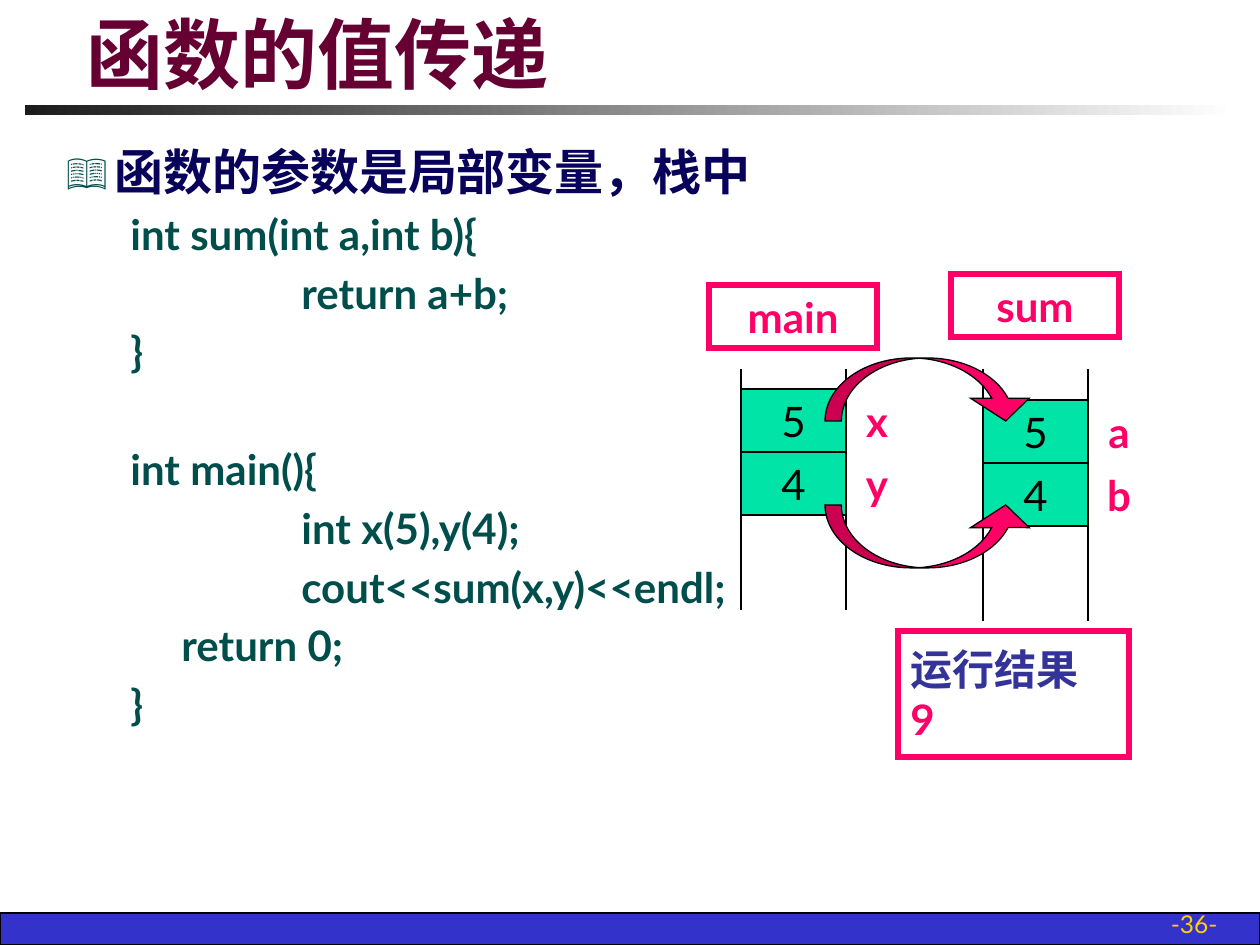
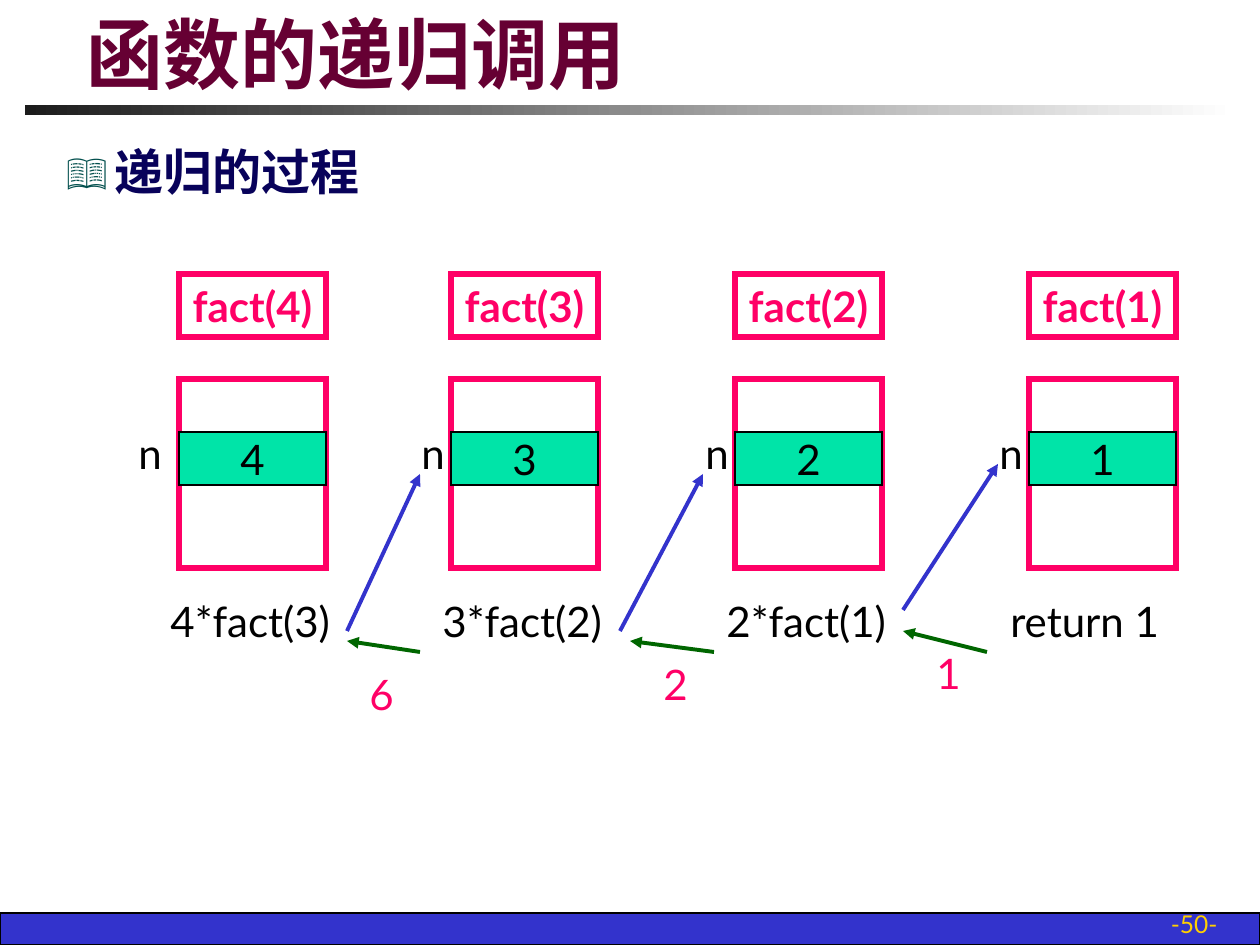
from lxml import etree
from pptx import Presentation
from pptx.dml.color import RGBColor
from pptx.enum.lang import MSO_LANGUAGE_ID
from pptx.enum.shapes import MSO_CONNECTOR, MSO_SHAPE
from pptx.enum.text import MSO_ANCHOR, MSO_AUTO_SIZE, PP_ALIGN
from pptx.oxml.ns import qn
from pptx.util import Emu, Pt

RECT, ARC = MSO_SHAPE.RECTANGLE, MSO_SHAPE.CURVED_DOWN_ARROW
LINE = MSO_CONNECTOR.STRAIGHT
TOP, MID, LOW = MSO_ANCHOR.TOP, MSO_ANCHOR.MIDDLE, MSO_ANCHOR.BOTTOM
LEFT, MIDST, RIGHT = PP_ALIGN.LEFT, PP_ALIGN.CENTER, PP_ALIGN.RIGHT
FIXED = MSO_AUTO_SIZE.NONE
CHINESE = MSO_LANGUAGE_ID.SIMPLIFIED_CHINESE

SCALE = 914400 / 126
HEX = {
    "black": "000000", "white": "FFFFFF", "dark": "1C1C1C", "blue": "3333CC",
    "gold": "FFCF01", "wine": "660033", "navy": "08025A", "teal": "004E4C",
    "pink": "FF0066", "mint": "00E4A8", "green": "006600", "indigo": "333399",
}
BODY, HEAD = "Lato", "Comic Neue"
OUTER, INNER = (103, 39), (235, 0)
CODE = [
    ("int sum(int a,int b){", OUTER),
    ("return a+b;", INNER),
    ("}", OUTER),
    ("int main(){", OUTER),
    ("int x(5),y(4);", INNER),
    ("cout<<sum(x,y)<<endl;", INNER),
    ("     return 0;", OUTER),
    ("}", OUTER),
]


def px(*nums):
    """Turn px into EMU."""
    return [Emu(round(num * SCALE)) for num in nums]


def rgb(name):
    """Look up a colour."""
    return RGBColor.from_string(HEX[name])


def style(para, color="black", size=24, bold=False, font=BODY):
    """Format the runs of a paragraph."""
    for run in para.runs:
        face = run.font
        face.name, face.size, face.bold = font, Pt(size), bold
        face.color.rgb = rgb(color)
        if not run.text.isascii():
            face.language_id = CHINESE


def write(shape, text, anchor=MID, align=MIDST, wrap=False, **look):
    """Put styled text into a shape."""
    frame = shape.text_frame
    frame.text = text
    frame.word_wrap, frame.auto_size = wrap, FIXED
    frame.vertical_anchor = anchor
    for para in frame.paragraphs:
        para.alignment = align
        style(para, **look)


def label(slide, area, text, **look):
    """Add a text box."""
    box = slide.shapes.add_textbox(*px(*area))
    write(box, text, **look)
    return box


def block(slide, area, fill=None, line="black", width=0.75, kind=RECT):
    """Add a flat shape with an optional fill and a sharp line."""
    shape = slide.shapes.add_shape(kind, *px(*area))
    shape.shadow.inherit = False
    if fill:
        shape.fill.solid()
        shape.fill.fore_color.rgb = rgb(fill)
    else:
        shape.fill.background()
    if line:
        shape.line.color.rgb = rgb(line)
        shape.line.width = Pt(width)
        etree.SubElement(shape.line._get_or_add_ln(), qn("a:miter"), lim="800000")
    else:
        shape.line.fill.background()
    return shape


def frame(slide, area):
    """Add an empty pink frame."""
    return block(slide, area, line="pink", width=3)


def tag(slide, area, text):
    """Add a framed function name."""
    write(frame(slide, area), text, color="pink", bold=True)


def cell(slide, area, text):
    """Add a filled memory cell."""
    write(block(slide, area, fill="mint"), text)


def link(slide, start, end, color="black", width=0.75, head=False):
    """Draw a straight line, with an arrowhead if asked."""
    line = slide.shapes.add_connector(LINE, *px(*start, *end))
    line.line.color.rgb = rgb(color)
    line.line.width = Pt(width)
    if head:
        etree.SubElement(line.line._get_or_add_ln(), qn("a:tailEnd"), type="triangle")
    etree.SubElement(line._element.spPr, qn("a:effectLst"))


def arc(slide, area, flip=False):
    """Add a curved arrow, turned over if asked."""
    shape = block(slide, area, fill="pink", kind=ARC)
    for spot, value in enumerate((0.26, 0.93, 0.36)):
        shape.adjustments[spot] = value
    if flip:
        shape._element.spPr.find(qn("a:xfrm")).set("flipV", "1")


def indent(para, left, hang):
    """Set the left margin and hanging indent."""
    props = para._p.get_or_add_pPr()
    margin, first = px(left, -hang)
    props.set("marL", str(margin))
    props.set("indent", str(first))
    return props


def bullet(para):
    """Give a paragraph the open book bullet."""
    props = indent(para, 48, 48)
    color = etree.SubElement(props, qn("a:buClr"))
    etree.SubElement(color, qn("a:srgbClr"), val=HEX["teal"])
    etree.SubElement(props, qn("a:buSzPct"), val="80000")
    etree.SubElement(props, qn("a:buFont"), typeface=BODY)
    etree.SubElement(props, qn("a:buChar"), char="📖")


def base(deck, title, topic, page):
    """Add a slide with its band, rule, title and topic."""
    slide = deck.slides.add_slide(deck.slide_layouts[6])
    block(slide, (0, 913, 1260, 32), fill="blue")
    rule = block(slide, (25, 105, 1211, 10), line=None)
    rule.fill.gradient()
    rule.fill.gradient_angle = 0
    for stop, name in zip(rule.fill.gradient_stops, ("dark", "white")):
        stop.color.rgb = rgb(name)
    label(slide, (968, 903, 262, 42), f"-{page}-", anchor=LOW, align=RIGHT,
          wrap=True, color="gold", size=14)
    label(slide, (74, 16, 1099, 89), title, anchor=LOW, align=LEFT, wrap=True,
          color="wine", size=44, bold=True, font=HEAD)
    body = label(slide, (54, 135, 1152, 714), topic, anchor=TOP, align=LEFT,
                 wrap=True, color="navy", size=28, bold=True)
    bullet(body.text_frame.paragraphs[0])
    return slide, body.text_frame


def listing(body):
    """Add the code below the topic."""
    for text, place in CODE:
        para = body.add_paragraph()
        para.text = text
        para.space_before = Pt(38.4 if "main" in text else 4.8)
        indent(para, *place)
        style(para, color="teal", bold=True)


def stack(slide, left, top, foot, head, name, args):
    """Draw a call stack with its name, values and variables."""
    for side in (left, left + 105):
        link(slide, (side, 369), (side, foot))
    tag(slide, (left - 32, head, 168, 63), name)
    for row, (arg, value) in enumerate(zip(args, "54")):
        y = top + 63 * row
        cell(slide, (left, y, 105, 63), value)
        label(slide, (left + 94, y, 84, 63), arg, color="pink", bold=True)


def passing(deck):
    """Build the slide on passing by value."""
    slide, body = base(deck, "函数的值传递", "函数的参数是局部变量，栈中", 36)
    listing(body)
    stack(slide, 741, 389, 610, 285, "main", "xy")
    stack(slide, 983, 400, 621, 274, "sum", "ab")
    arc(slide, (825, 358, 210, 63))
    arc(slide, (825, 505, 210, 63), flip=True)
    result = frame(slide, (898, 631, 231, 126))
    write(result, "运行结果\n9", align=LEFT, wrap=True, color="indigo", bold=True)
    style(result.text_frame.paragraphs[1], color="pink", bold=True)


def call(slide, left, num, gap, shift):
    """Draw one call with its frame, argument and result."""
    tag(slide, (left, 274, 147, 63), f"fact({num})")
    frame(slide, (left, 379, 147, 189))
    cell(slide, (left, 432, 147, 53), str(num))
    label(slide, (left - gap, 421, 42, 63), "n", anchor=TOP, align=LEFT)
    text = f"{num}*fact({num - 1})" if num > 1 else "return 1"
    label(slide, (left - shift, 589, 195 if num > 1 else 175, 63), text,
          anchor=TOP, align=LEFT)


def recursion(deck):
    """Build the slide on recursive calls."""
    slide, _ = base(deck, "函数的递归调用", "递归的过程", 50)
    calls = ((179, 4, 53, 21), (451, 3, 42, 21), (735, 2, 42, 21), (1029, 1, 42, 31))
    for spec in calls:
        call(slide, *spec)
    downs = (((347, 631), (420, 474)), ((620, 631), (703, 474)), ((903, 610), (998, 464)))
    backs = (((987, 652), (903, 631)), ((714, 652), (630, 641)), ((420, 652), (347, 641)))
    for color, paths in (("blue", downs), ("green", backs)):
        for start, end in paths:
            link(slide, start, end, color, 2.25, head=True)
    for left, top, value in ((924, 641, "1"), (651, 652, "2"), (357, 662, "6")):
        label(slide, (left, top, 48, 63), value, anchor=TOP, align=LEFT, color="pink")


def main():
    """Build and save the deck."""
    deck = Presentation()
    deck.slide_width, deck.slide_height = px(1260, 945)
    passing(deck)
    recursion(deck)
    deck.save("out.pptx")


if __name__ == "__main__":
    main()
